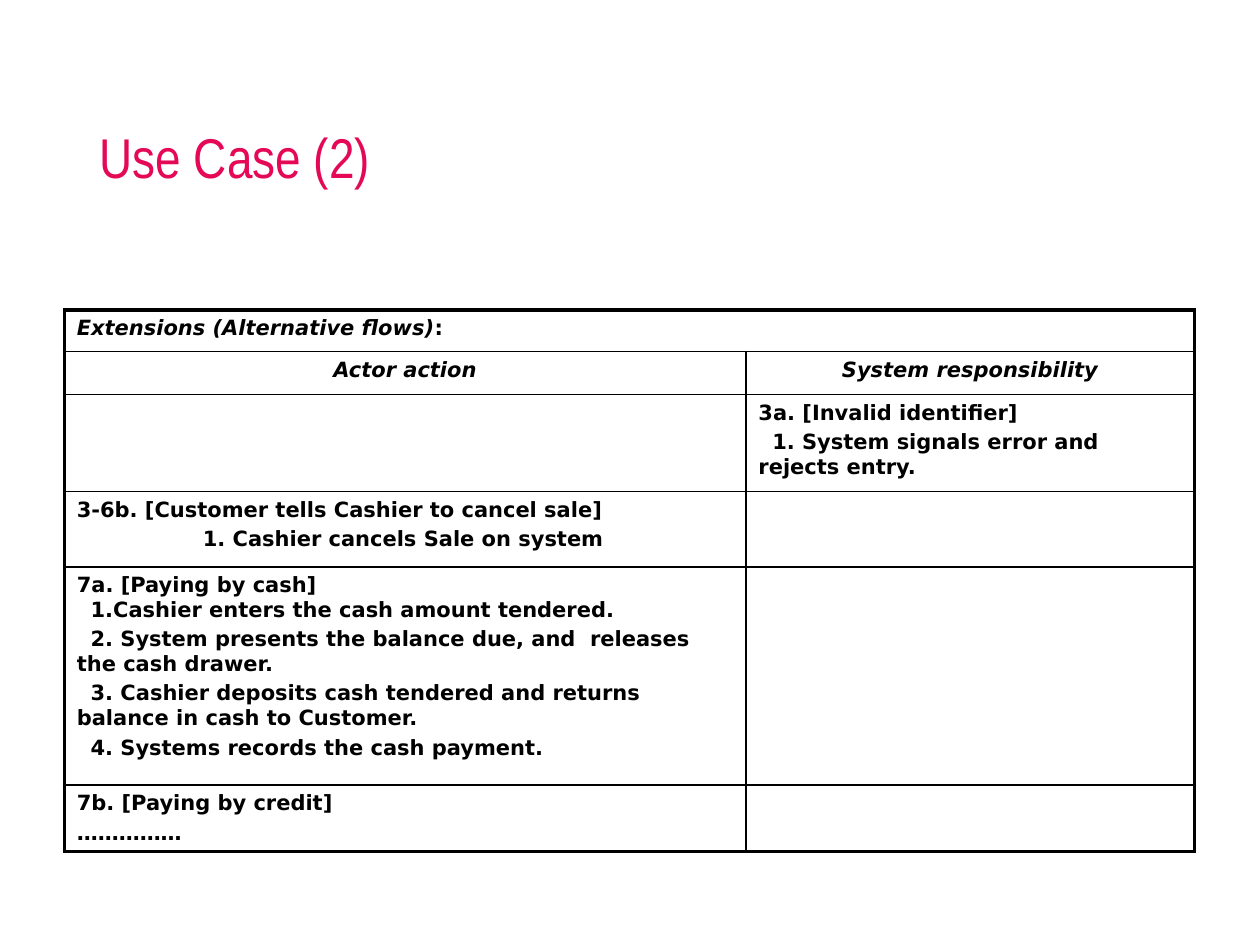
from lxml import etree
from pptx import Presentation
from pptx.dml.color import RGBColor
from pptx.enum.text import MSO_ANCHOR, PP_ALIGN
from pptx.oxml.ns import qn
from pptx.util import Inches, Pt

LEFT, CENTER = PP_ALIGN.LEFT, PP_ALIGN.CENTER
BOTTOM = MSO_ANCHOR.BOTTOM
TITLE_ONLY = 5
COLORS = {"title": "E50856", "text": "000000", "border": "000000"}
TITLE_FONT, TABLE_FONT = "Arial Narrow", "DejaVu Sans"
OUTER, INNER = 2.25, 1
GAP = 2.8
STEP = 0.11
TAB = 1.0

COLUMN_WIDTHS = [5.41, 3.56]
ROW_HEIGHTS = [0.33, 0.34, 0.77, 0.6, 1.73, 0.52]
HEADINGS = ["Actor action", "System responsibility"]
FLOWS = [
    [[], [("3a. [Invalid identifier]", 0, 0),
          ("1. System signals error and rejects entry.", STEP, GAP)]],
    [[("3-6b. [Customer tells Cashier to cancel sale]", 0, 0),
      ("1. Cashier cancels Sale on system", TAB, GAP)], []],
    [[("7a. [Paying by cash]", 0, 0),
      ("1.Cashier enters the cash amount tendered.", STEP, 0),
      ("2. System presents the balance due, and  releases the cash drawer.", STEP, GAP),
      ("3. Cashier deposits cash tendered and returns balance in cash to Customer.", STEP, GAP),
      ("4. Systems records the cash payment.", STEP, GAP)], []],
    [[("7b. [Paying by credit]", 0, 0), ("……………", 0, GAP)], []],
]


def format_run(run, font, size, color, bold=False, italic=False):
    """Set the typeface, size, colour and style of a run."""
    run.font.name = font
    run.font.size = Pt(size)
    run.font.bold = bold
    run.font.italic = italic
    run.font.color.rgb = RGBColor.from_string(COLORS[color])


def add_text(paragraph, text, italic=False):
    """Add a bold table run to a paragraph."""
    run = paragraph.add_run()
    run.text = text
    format_run(run, TABLE_FONT, 12, "text", True, italic)


def fill_cell(cell, lines):
    """Write lines of text, first-line indent and space before into a cell."""
    for index, (text, indent, gap) in enumerate(lines):
        frame = cell.text_frame
        paragraph = frame.add_paragraph() if index else frame.paragraphs[0]
        paragraph.alignment = LEFT
        paragraph.space_before = Pt(gap)
        properties = paragraph._p.get_or_add_pPr()
        properties.set("marL", "0")
        properties.set("indent", str(Inches(indent)))
        add_text(paragraph, text)


def add_borders(cell, widths):
    """Draw the left, right, top and bottom borders of a cell."""
    properties = cell._tc.get_or_add_tcPr()
    for side, width in zip("LRTB", widths):
        line = etree.SubElement(properties, qn(f"a:ln{side}"), w=str(Pt(width)))
        fill = etree.SubElement(line, qn("a:solidFill"))
        etree.SubElement(fill, qn("a:srgbClr"), val=COLORS["border"])


def add_title(slide, box, text):
    """Place and format the slide title in the given box."""
    title = slide.shapes.title
    title.left, title.top, title.width, title.height = map(Inches, box)
    title.text_frame.text = text
    title.text_frame.vertical_anchor = BOTTOM
    paragraph = title.text_frame.paragraphs[0]
    paragraph.alignment = LEFT
    paragraph.line_spacing = 0.9
    format_run(paragraph.runs[0], TITLE_FONT, 32, "title")


def add_flow_table(slide, left, top):
    """Build the table of alternative flows from its top left corner."""
    row_count, column_count = len(ROW_HEIGHTS), len(COLUMN_WIDTHS)
    frame = slide.shapes.add_table(
        row_count, column_count, Inches(left), Inches(top),
        Inches(sum(COLUMN_WIDTHS)), Inches(sum(ROW_HEIGHTS)))
    table = frame.table
    table.first_row = table.horz_banding = False
    for column, width in zip(table.columns, COLUMN_WIDTHS):
        column.width = Inches(width)
    for row, height in zip(table.rows, ROW_HEIGHTS):
        row.height = Inches(height)

    last_row, last_column = row_count - 1, column_count - 1
    for row in range(row_count):
        for column in range(column_count):
            cell = table.cell(row, column)
            edges = [column == 0, column == last_column or row == 0,
                     row == 0, row == last_row]
            add_borders(cell, [OUTER if edge else INNER for edge in edges])
            cell.fill.background()

    table.cell(0, 0).merge(table.cell(0, last_column))
    paragraph = table.cell(0, 0).text_frame.paragraphs[0]
    add_text(paragraph, "Extensions (Alternative flows)", True)
    add_text(paragraph, ":")
    for column, heading in enumerate(HEADINGS):
        paragraph = table.cell(1, column).text_frame.paragraphs[0]
        paragraph.alignment = CENTER
        add_text(paragraph, heading, True)
    for row, flow in enumerate(FLOWS, start=2):
        for column, lines in enumerate(flow):
            fill_cell(table.cell(row, column), lines)


def build():
    """Create the presentation and save it."""
    presentation = Presentation()
    presentation.slide_width, presentation.slide_height = Inches(10), Inches(7.5)
    slide = presentation.slides.add_slide(presentation.slide_layouts[TITLE_ONLY])
    add_title(slide, (0.69, 0.4, 8.62, 1.16), "Use Case (2)")
    add_flow_table(slide, 0.51, 2.46)
    presentation.save("out.pptx")


build()
